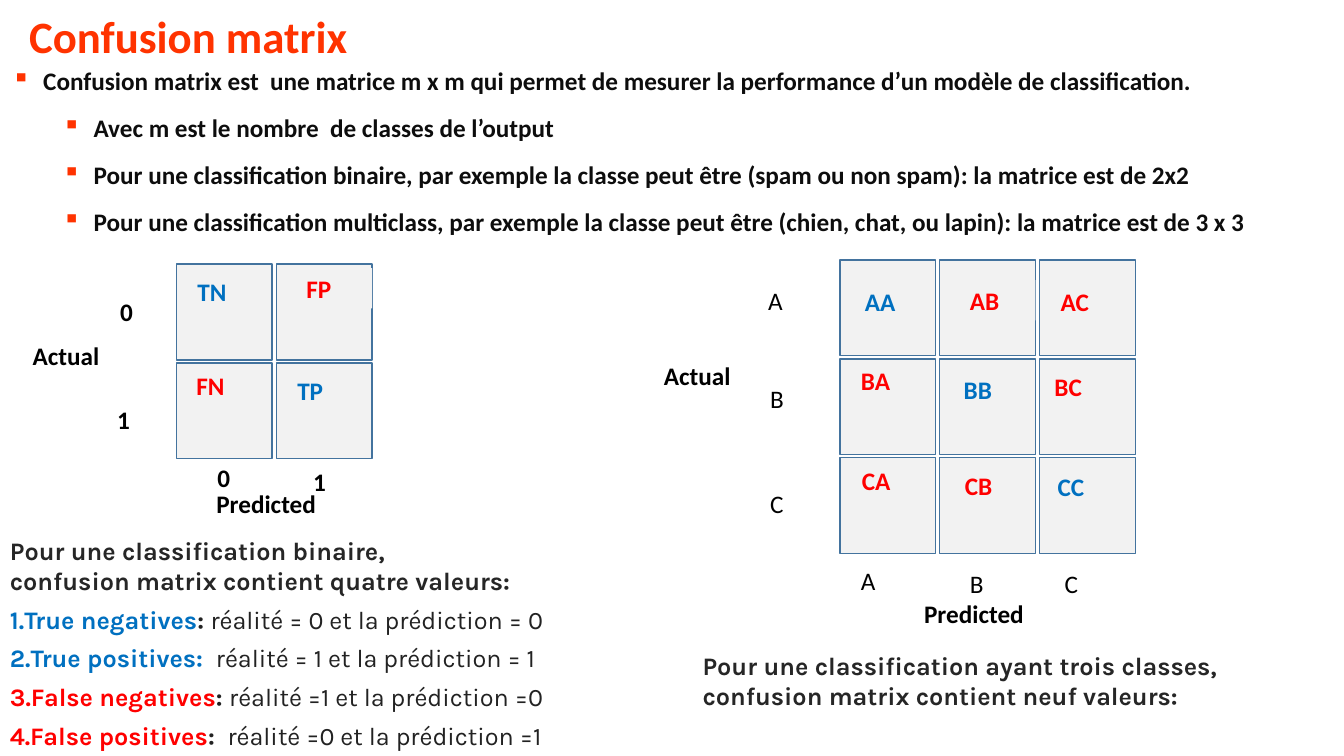
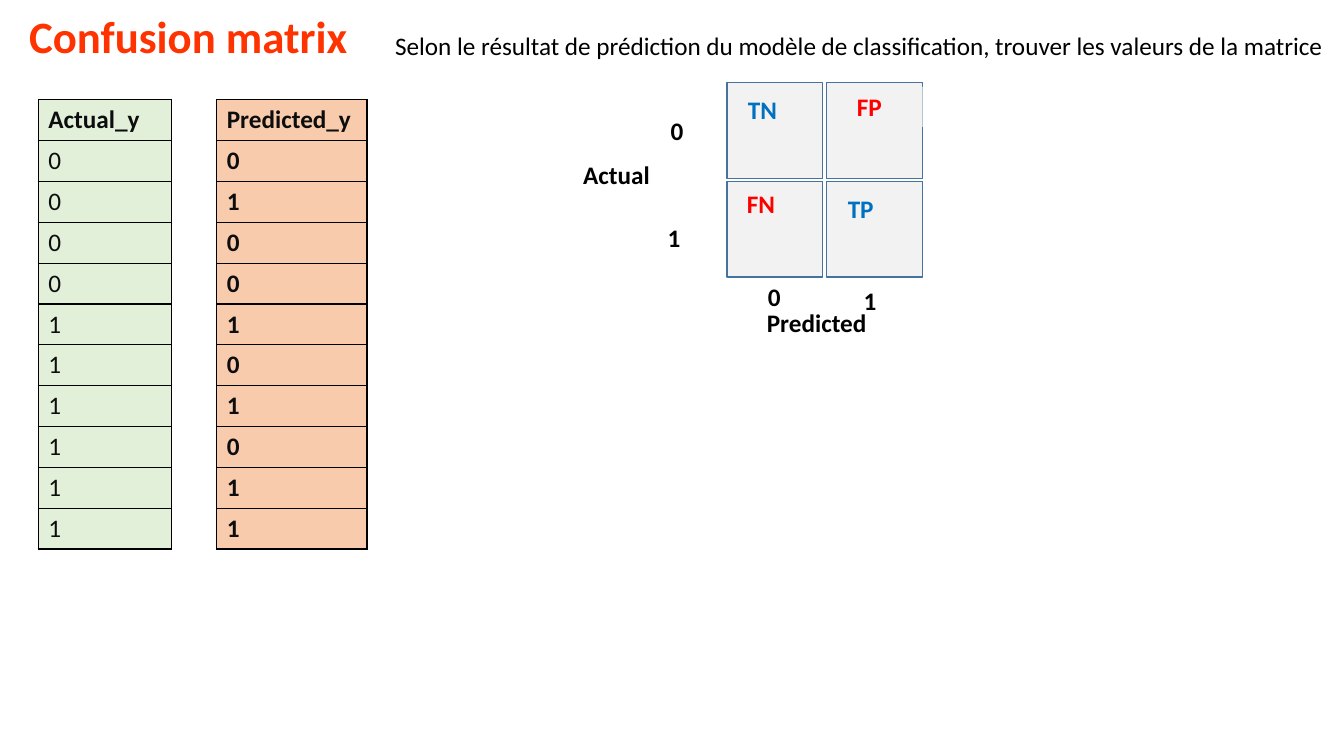
from lxml import etree
from pptx import Presentation
from pptx import util as u
from pptx.dml.color import RGBColor
from pptx.enum import shapes, text
from pptx.oxml import ns

COLORS = {
    "title": "FF3300", "body": "0D0D0D", "black": "000000",
    "right": "0070C0", "wrong": "FF0000", "cell": "F2F2F2", "edge": "43739E",
    "lead": "262626", "note": "222222", "actual": "E2F0D9", "predicted": "F8CBAD",
}
WIDTH, HEIGHT = 13.33, 7.5
BODY_SIZE = 18
LINE_H = 0.4
CELL, PITCH_X, PITCH_Y = 0.95, 0.99, 0.98
TAG_W = 0.75

# ---- Content ----
TITLE = "Confusion matrix"
DEFINITION = [
    (0, "Confusion matrix est  une matrice m x m qui permet de mesurer la performance d’un modèle de classification."),
    (1, "Avec m est le nombre  de classes de l’output"),
    (1, "Pour une classification binaire, par exemple la classe peut être (spam ou non spam): la matrice est de 2x2"),
    (1, "Pour une classification multiclass, par exemple la classe peut être (chien, chat, ou lapin): la matrice est de 3 x 3"),
]
BINARY_LEAD = ["Pour une classification binaire,", "confusion matrix contient quatre valeurs:"]
MULTI_LEAD = ["Pour une classification ayant trois classes,", "confusion matrix contient neuf valeurs:"]
OUTCOMES = [
    ("right", "True negatives", ": ", "réalité = 0 et la prédiction = 0"),
    ("right", "True positives:  ", "", "réalité = 1 et la prédiction = 1"),
    ("wrong", "False negatives", ": ", "réalité =1 et la prédiction =0"),
    ("wrong", "False positives", ":  ", "réalité =0 et la prédiction =1"),
]
EXERCISE = "Selon le résultat de prédiction du modèle de classification, trouver les valeurs de la matrice"
RESULTS = [  # header, values, left, width, fill, bold values
    ("Actual_y", "0000111111", 0.38, 1.32, "actual", False),
    ("Predicted_y", "0100101011", 2.15, 1.49, "predicted", True),
]

# Tags: text, offset inside the cell. Labels: text, offset from the matrix corner, width.
BINARY = {
    "tags": [[("TN", 0.11, 0.07), ("FP", 0.2, 0.04)],
             [("FN", 0.1, 0.02), ("TP", 0.11, 0.07)]],
    "classes": [("0", -0.01, 1.92, 0.96), ("1", 0.94, 1.96, 0.96),
                ("0", -0.97, 0.27, 0.95), ("1", -1, 1.34, 0.95)],
    "axes": [("Actual", -1.57, 0.71, 0.95), ("Predicted", 0.16, 2.18, 1.46)],
    "bold": True,
}
MULTI = {
    "tags": [[("AA", 0.15, 0.21), ("AB", 0.2, 0.2), ("AC", 0.11, 0.21)],
             [("BA", 0.11, 0.02), ("BB", 0.14, 0.1), ("BC", 0.05, 0.07)],
             [("CA", 0.12, 0.03), ("CB", 0.15, 0.08), ("CC", 0.08, 0.09)]],
    "classes": [("A", -0.81, 0.2, 0.68), ("B", -0.79, 1.17, 0.68), ("C", -0.79, 2.22, 0.68),
                ("A", 0.11, 2.98, 0.68), ("B", 1.19, 3.01, 0.68), ("C", 2.13, 3.01, 0.68)],
    "axes": [("Actual", -1.89, 0.95, 0.95), ("Predicted", 0.6, 3.31, 1.46)],
    "bold": False,
}


# ---- Helpers ----
def rgb(name):
    return RGBColor.from_string(COLORS[name])


def inches(*lengths):
    return [u.Inches(length) for length in lengths]


def add_run(paragraph, words, color, bold=False, size=BODY_SIZE, font="Calibri"):
    run = paragraph.add_run()
    run.text = words
    run.font.size, run.font.bold, run.font.name = u.Pt(size), bold, font
    run.font.color.rgb = rgb(color)


def fit(frame):
    frame.word_wrap = True
    frame.auto_size = text.MSO_AUTO_SIZE.SHAPE_TO_FIT_TEXT
    frame.vertical_anchor = text.MSO_ANCHOR.TOP
    return frame


def add_box(slide, left, top, width, height=LINE_H):
    return fit(slide.shapes.add_textbox(*inches(left, top, width, height)).text_frame)


def add_line(slide, place, words, color="black", centred=False, **style):
    paragraph = add_box(slide, *place).paragraphs[0]
    if centred:
        paragraph.alignment = text.PP_ALIGN.CENTER
    add_run(paragraph, words, color, **style)


def add_square(slide, left, top, width, height):
    square = slide.shapes.add_shape(shapes.MSO_SHAPE.RECTANGLE, *inches(left, top, width, height))
    square.shadow.inherit = False
    square.fill.solid()
    square.fill.fore_color.rgb = rgb("cell")
    square.line.fill.background()
    return square


def add_bullet(paragraph, kind, color=None, **attributes):
    props = paragraph._p.get_or_add_pPr()
    if color:
        holder = etree.SubElement(props, ns.qn("a:buClr"))
        etree.SubElement(holder, ns.qn("a:srgbClr"), val=COLORS[color])
    etree.SubElement(props, ns.qn(kind), **attributes)
    return props


def next_paragraph(frame, first):
    return frame.paragraphs[0] if first else frame.add_paragraph()


def add_lead(frame, lines):
    paragraph = frame.paragraphs[0]
    paragraph.space_after = u.Pt(6)
    for i, line in enumerate(lines):
        if i:
            paragraph.add_line_break()
        add_run(paragraph, line, "lead", True, font="Karla")


def add_matrix(slide, left, top, matrix):
    cells = [(left + c * PITCH_X, top + r * PITCH_Y, r == c, tag)
             for r, row in enumerate(matrix["tags"]) for c, tag in enumerate(row)]
    for x, y, _, _ in cells:
        cell = add_square(slide, x, y, CELL, CELL)
        cell.line.color.rgb, cell.line.width = rgb("edge"), u.Pt(1)
    for x, y, correct, (words, dx, dy) in cells:
        paragraph = fit(add_square(slide, x + dx, y + dy, TAG_W, LINE_H).text_frame).paragraphs[0]
        paragraph.alignment = text.PP_ALIGN.LEFT
        add_run(paragraph, words, "right" if correct else "wrong", True)
    for group, bold in (("classes", matrix["bold"]), ("axes", True)):
        for words, dx, dy, width in matrix[group]:
            add_line(slide, (left + dx, top + dy, width), words, centred=bold, bold=bold)


def add_borders(cell):
    props = cell._tc.get_or_add_tcPr()
    for i, side in enumerate(("a:lnL", "a:lnR", "a:lnT", "a:lnB")):
        line = etree.Element(ns.qn(side), w=str(u.Pt(1)))
        fill = etree.SubElement(line, ns.qn("a:solidFill"))
        etree.SubElement(fill, ns.qn("a:srgbClr"), val=COLORS["black"])
        props.insert(i, line)


def add_results(slide, header, values, left, width, fill, bold):
    rows = [header, *values]
    table = slide.shapes.add_table(len(rows), 1, *inches(left, 0.99, width, 4.46)).table
    table.first_row = table.horz_banding = False
    for i, words in enumerate(rows):
        cell = table.cell(i, 0)
        cell.fill.solid()
        cell.fill.fore_color.rgb = rgb(fill)
        add_borders(cell)
        add_run(cell.text_frame.paragraphs[0], words, "body", bold or i == 0)


def new_slide(deck):
    slide = deck.slides.add_slide(deck.slide_layouts[6])
    add_line(slide, (0.19, 0.04, 5.94, 0.64), TITLE, "title", bold=True, size=32)
    return slide


# ---- Slides ----
def matrix_slide(deck):
    slide = new_slide(deck)
    definition = add_box(slide, 0.02, 0.6, 13.31, 1.82)
    for i, (level, words) in enumerate(DEFINITION):
        paragraph = next_paragraph(definition, i == 0)
        paragraph.level, paragraph.space_after = level, u.Pt(12)
        props = add_bullet(paragraph, "a:buChar", "title", char="▪")
        props.set("marL", str(u.Inches(0.31 + 0.5 * level)))
        props.set("indent", str(u.Inches(-0.31)))
        add_run(paragraph, words, "body", True)

    add_matrix(slide, 1.75, 2.62, BINARY)
    add_matrix(slide, 8.33, 2.58, MULTI)

    outcomes = add_box(slide, 0, 5.26, 5.6, 2.26)
    add_lead(outcomes, BINARY_LEAD)
    for color, name, colon, meaning in OUTCOMES:
        paragraph = outcomes.add_paragraph()
        paragraph.space_after = u.Pt(6)
        add_bullet(paragraph, "a:buAutoNum", type="arabicPeriod")
        add_run(paragraph, name, color, True, font="Karla")
        if colon:
            add_run(paragraph, colon, "note", True, font="Karla")
        add_run(paragraph, meaning, "note", font="Karla")
    add_lead(add_box(slide, 6.87, 6.4, 6.21, 0.71), MULTI_LEAD)


def exercise_slide(deck):
    slide = new_slide(deck)
    for column in RESULTS:
        add_results(slide, *column)
    add_line(slide, (3.82, 0.25, 9.51), EXERCISE)
    add_matrix(slide, 7.21, 0.82, BINARY)


def main():
    deck = Presentation()
    deck.slide_width, deck.slide_height = inches(WIDTH, HEIGHT)
    matrix_slide(deck)
    exercise_slide(deck)
    deck.save("out.pptx")


if __name__ == "__main__":
    main()
